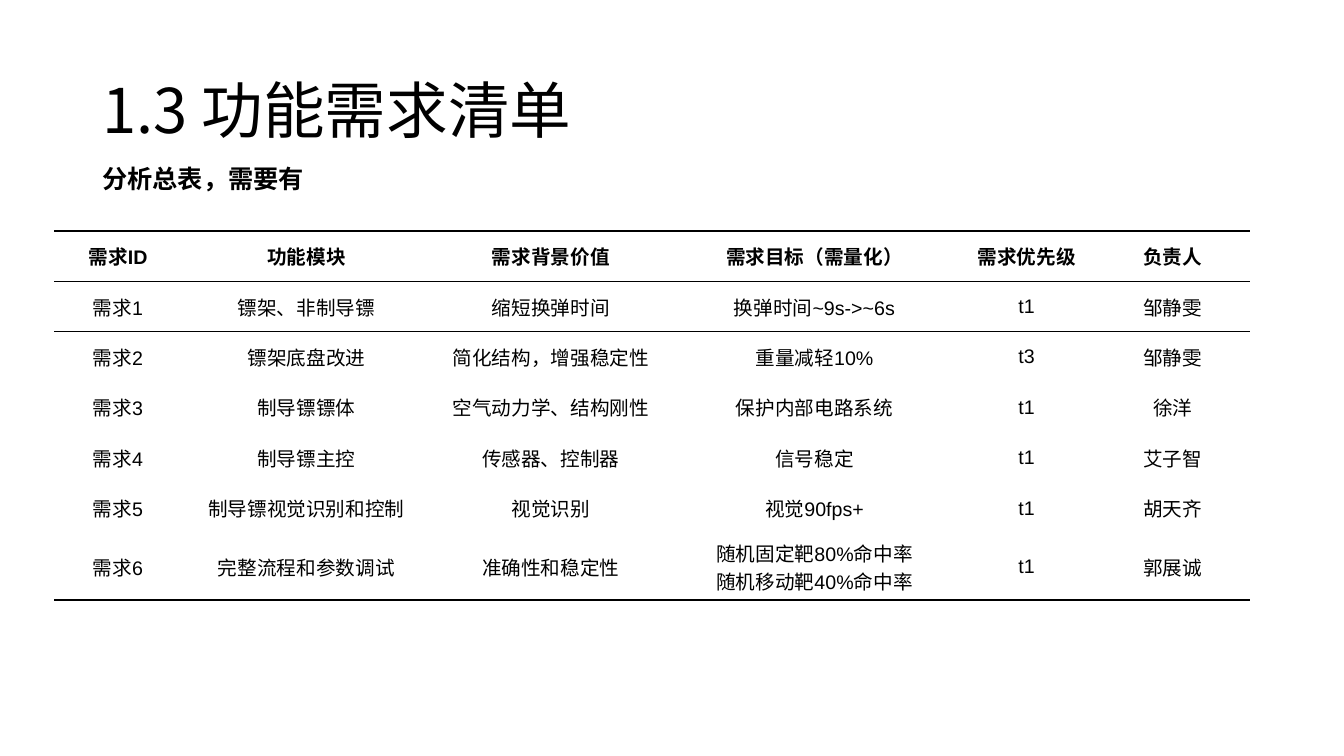
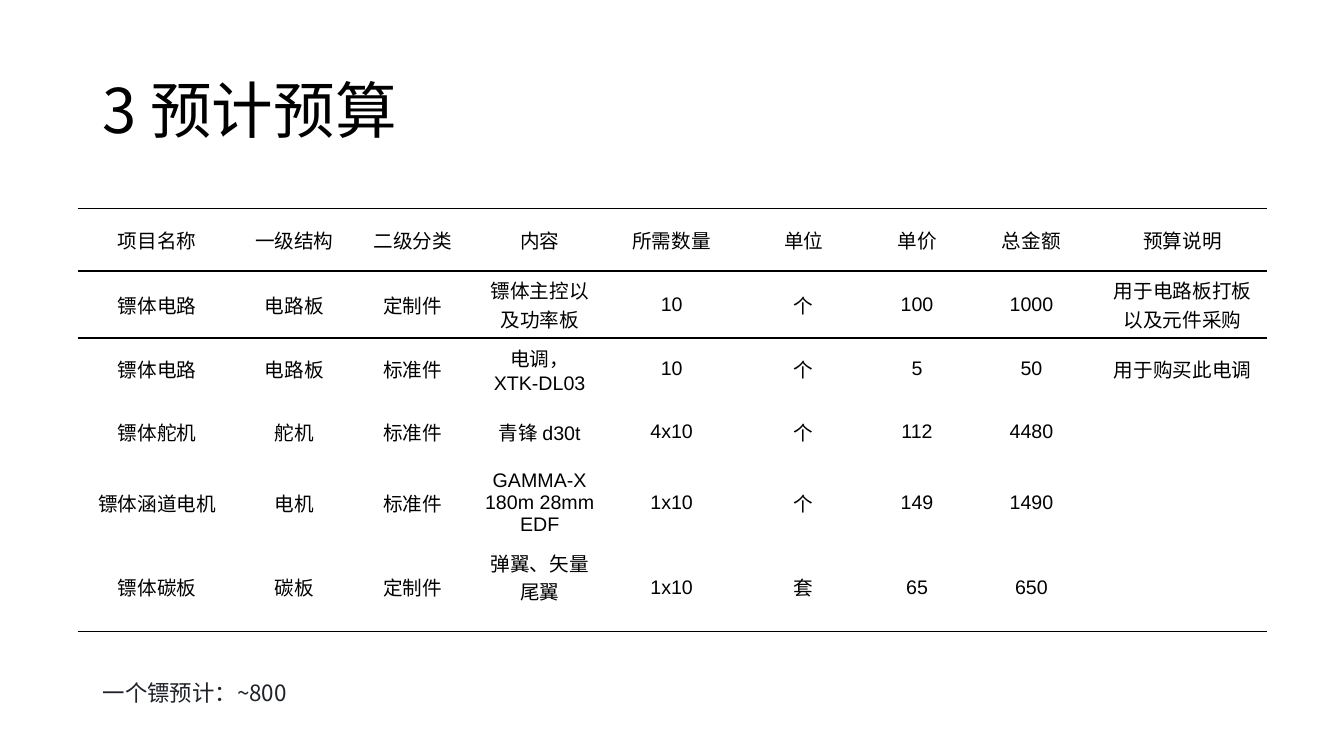
from lxml import etree
from pptx import Presentation
from pptx.dml.color import RGBColor
from pptx.enum.text import MSO_ANCHOR, PP_ALIGN
from pptx.oxml.ns import qn
from pptx.util import Pt

TOP, MIDDLE = MSO_ANCHOR.TOP, MSO_ANCHOR.MIDDLE
LEFT, CENTER = PP_ALIGN.LEFT, PP_ALIGN.CENTER
COLORS = {"text": "000000", "rule": "000000", "note": "1F2329"}
LATIN_FONT, CHINESE_FONT = "Arial", "Noto Sans CJK SC"
PLAIN_STYLE = "{2D5ABB26-0587-4C30-8999-92F81FD0307C}"
TITLE_BOX = (66, 29, 828, 104)

# Slide 1: requirements
REQUIREMENT_COLUMNS = [91.4, 177.8, 171.4, 205.2, 97.9, 110.9]
REQUIREMENT_HEIGHTS = [36] * 6 + [47.6]
REQUIREMENTS = [
    ["需求ID", "功能模块", "需求背景价值", "需求目标（需量化）", "需求优先级", "负责人"],
    ["需求1", "镖架、非制导镖", "缩短换弹时间", "换弹时间~9s->~6s", "t1", "邹静雯"],
    ["需求2", "镖架底盘改进", "简化结构，增强稳定性", "重量减轻10%", "t3", "邹静雯"],
    ["需求3", "制导镖镖体", "空气动力学、结构刚性", "保护内部电路系统", "t1", "徐洋"],
    ["需求4", "制导镖主控", "传感器、控制器", "信号稳定", "t1", "艾子智"],
    ["需求5", "制导镖视觉识别和控制", "视觉识别", "视觉90fps+", "t1", "胡天齐"],
    ["需求6", "完整流程和参数调试", "准确性和稳定性",
     "随机固定靶80%命中率\n随机移动靶40%命中率", "t1", "郭展诚"],
]

# Slide 2: budget
BUDGET_COLUMNS = [113.8, 82.1, 87.1, 94.3, 94.3, 94.3, 67.7, 95.8, 120.2]
BUDGET_HEIGHTS = [44.6, 47.8, 44.6, 44.6, 55.4, 62.6]
BUDGET = [
    ["项目名称", "一级结构", "二级分类", "内容", "所需数量", "单位", "单价", "总金额", "预算说明"],
    ["镖体电路", "电路板", "定制件", "镖体主控以及功率板", "10", "个", "100", "1000",
     "用于电路板打板以及元件采购"],
    ["镖体电路", "电路板", "标准件", "电调，\nXTK-DL03", "10", "个", "5", "50", "用于购买此电调"],
    ["镖体舵机", "舵机", "标准件", "青锋 d30t", "4x10", "个", "112", "4480", ""],
    ["镖体涵道电机", "电机", "标准件", "GAMMA-X 180m 28mm EDF", "1x10", "个", "149", "1490", ""],
    ["镖体碳板", "碳板", "定制件", "弹翼、矢量尾翼", "1x10", "套", "65", "650", ""],
]


def write_text(frame, text, size=14, font=CHINESE_FONT, color="text", bold=False,
               align=LEFT, spacing=None):
    """Write one paragraph for each line of text."""
    for index, line in enumerate(text.split("\n")):
        paragraph = frame.add_paragraph() if index else frame.paragraphs[0]
        paragraph.alignment = align
        if spacing:
            paragraph.line_spacing = spacing
        run = paragraph.add_run()
        run.text = line
        run.font.size = Pt(size)
        run.font.name = font
        run.font.bold = bold
        run.font.color.rgb = RGBColor.from_string(COLORS[color])
        east_asian = etree.Element(qn("a:ea"), typeface=CHINESE_FONT)
        run.font._element.find(qn("a:latin")).addnext(east_asian)


def add_text(slide, box, text, anchor=TOP, inset=True, **text_format):
    shape = slide.shapes.add_textbox(*map(Pt, box))
    frame = shape.text_frame
    frame.word_wrap = True
    frame.vertical_anchor = anchor
    if not inset:
        frame.margin_left = frame.margin_right = frame.margin_top = frame.margin_bottom = 0
    write_text(frame, text, **text_format)


def add_border(cell, tag):
    line = etree.SubElement(cell._tc.get_or_add_tcPr(), qn(tag), w=str(Pt(1)))
    fill = etree.SubElement(line, qn("a:solidFill"))
    etree.SubElement(fill, qn("a:srgbClr"), val=COLORS["rule"])


def add_ruled_table(slide, left, top, columns, heights, rows, bold_header=False):
    """Add a table with rules round the header, under the first row and at the end."""
    frame = slide.shapes.add_table(len(rows), len(columns), Pt(left), Pt(top),
                                   Pt(sum(columns)), Pt(sum(heights)))
    table = frame.table
    table.first_row = table.horz_banding = False
    table._tbl.tblPr.find(qn("a:tableStyleId")).text = PLAIN_STYLE
    for column, width in zip(table.columns, columns):
        column.width = Pt(width)
    for row, height in zip(table.rows, heights):
        row.height = Pt(height)

    # LibreOffice repeats an inner rule below the next row, so row 1 needs no bottom rule
    ruled_above, ruled_below = {0, 1}, {0, len(rows) - 1}
    for row_index, values in enumerate(rows):
        for column_index, value in enumerate(values):
            cell = table.cell(row_index, column_index)
            cell.vertical_anchor = MIDDLE
            if row_index in ruled_above:
                add_border(cell, "a:lnT")
            if row_index in ruled_below:
                add_border(cell, "a:lnB")
            cell.fill.background()
            if value:
                write_text(cell.text_frame, value, font=LATIN_FONT, align=CENTER,
                           bold=bold_header and row_index == 0)
    return table


def add_titled_slide(presentation, title):
    slide = presentation.slides.add_slide(presentation.slide_layouts[6])
    add_text(slide, TITLE_BOX, title, anchor=MIDDLE, size=44, spacing=0.92)
    return slide


def build_requirements(presentation):
    slide = add_titled_slide(presentation, "1.3 功能需求清单")
    add_text(slide, (66, 113, 215, 51), "分析总表，需要有", size=18, bold=True)
    add_ruled_table(slide, 38.6, 165, REQUIREMENT_COLUMNS, REQUIREMENT_HEIGHTS,
                    REQUIREMENTS, bold_header=True)


def build_budget(presentation):
    slide = add_titled_slide(presentation, "3 预计预算")
    table = add_ruled_table(slide, 55.4, 149, BUDGET_COLUMNS, BUDGET_HEIGHTS, BUDGET)
    # The last content cell starts at the top of its row
    table.cell(len(BUDGET) - 1, 3).vertical_anchor = TOP
    add_text(slide, (73.6, 480, 180, 24), "一个镖预计：~800", inset=False,
             size=16, color="note", spacing=1.25)


def main():
    presentation = Presentation()
    presentation.slide_width, presentation.slide_height = Pt(960), Pt(540)
    build_requirements(presentation)
    build_budget(presentation)
    presentation.save("out.pptx")


if __name__ == "__main__":
    main()
